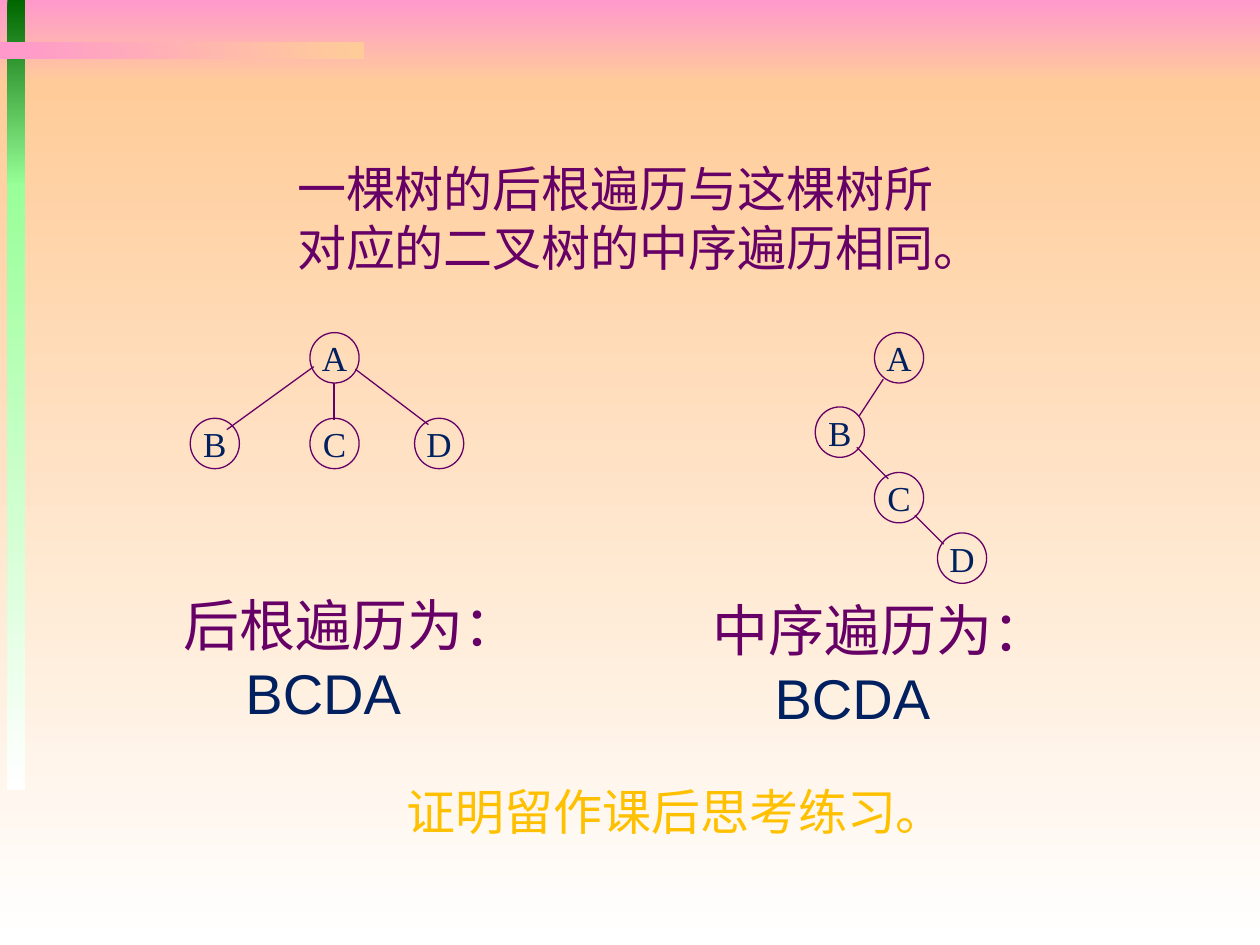
import pptx
import pptx.dml.color
import pptx.enum.shapes
import pptx.enum.text
import pptx.oxml.ns
import pptx.util
from lxml import etree
from pptx.util import Inches

COLORS = {
    "pink": "FF99CC", "peach": "FFCC99", "white": "FFFFFF",
    "dark_green": "006600", "light_green": "99FF99",
    "purple": "660066", "navy": "002060", "gold": "FFC000",
}
NODE_W, NODE_H = 0.39, 0.4


def rgb(name):
    return pptx.dml.color.RGBColor.from_string(COLORS[name])


def style_run(run, size, color, font="Arial"):
    run.font.size = pptx.util.Pt(size)
    run.font.name = font
    run.font.color.rgb = rgb(color)


deck = pptx.Presentation()
deck.slide_width, deck.slide_height = Inches(10), Inches(7.5)
slide = deck.slides.add_slide(deck.slide_layouts[6])

# Background and decorative bars: box, start colour, end colour, angle
bands = [
    ((0, 0, 10, 0.67), "pink", "peach", 270),
    ((0, 0.67, 10, 6.83), "peach", "white", 270),
    ((0.06, 0, 0.14, 1.48), "dark_green", "light_green", 270),
    ((0.06, 1.46, 0.14, 4.81), "light_green", "white", 270),
    ((0, 0.33, 2.89, 0.14), "pink", "peach", 0),
]
for box, start, end, angle in bands:
    band = slide.shapes.add_shape(
        pptx.enum.shapes.MSO_SHAPE.RECTANGLE, *map(Inches, box))
    band.shadow.inherit = False
    band.line.fill.background()
    band.fill.gradient()
    band.fill.gradient_angle = angle
    for stop, position, color in zip(band.fill.gradient_stops, (0, 1), (start, end)):
        stop.position = position
        stop.color.rgb = rgb(color)

# The tree and its binary tree: node positions, then edges
trees = [
    ({"A": (2.46, 2.64), "B": (1.51, 3.32), "C": (2.46, 3.32), "D": (3.29, 3.32)},
     [(2.65, 3.04, 2.65, 3.33), (2.49, 2.91, 1.8, 3.41), (2.82, 2.93, 3.4, 3.37)]),
    ({"A": (6.94, 2.64), "B": (6.47, 3.23), "C": (6.94, 3.75), "D": (7.44, 4.23)},
     [(7.01, 3.01, 6.82, 3.3), (6.8, 3.55, 7.05, 3.8), (7.26, 4.09, 7.49, 4.32)]),
]
for nodes, edges in trees:
    tree = slide.shapes.add_group_shape()
    for label, (left, top) in nodes.items():
        node = tree.shapes.add_shape(
            pptx.enum.shapes.MSO_SHAPE.OVAL,
            *map(Inches, (left, top, NODE_W, NODE_H)))
        node.shadow.inherit = False
        node.fill.background()
        node.line.color.rgb = rgb("purple")
        node.line.width = pptx.util.Pt(0.75)
        frame = node.text_frame
        frame.text = label
        frame.word_wrap = False
        frame.vertical_anchor = pptx.enum.text.MSO_ANCHOR.MIDDLE
        frame.paragraphs[0].alignment = pptx.enum.text.PP_ALIGN.CENTER
        style_run(frame.paragraphs[0].runs[0], 20, "navy", "Times New Roman")
    for ends in edges:
        edge = tree.shapes.add_connector(
            pptx.enum.shapes.MSO_CONNECTOR.STRAIGHT, *map(Inches, ends))
        edge.line.color.rgb = rgb("purple")
        edge.line.width = pptx.util.Pt(0.75)
        etree.SubElement(edge._element.spPr, pptx.oxml.ns.qn("a:effectLst"))

# Captions: box, size, then each paragraph's text, colour and indent
captions = [
    ((1.36, 4.64, 2.97, 1.18), 32,
     [("后根遍历为：", "purple", 0), ("BCDA", "navy", 0.49)]),
    ((5.56, 4.68, 2.97, 1.18), 32,
     [("中序遍历为：", "purple", 0), ("BCDA", "navy", 0.49)]),
    ((2.26, 1.21, 5.57, 1.04), 28,
     [("一棵树的后根遍历与这棵树所对应的二叉树的中序遍历相同。", "purple", 0)]),
    ((3.13, 6.15, 5.57, 0.57), 28, [("证明留作课后思考练习。", "gold", 0)]),
]
for box, size, lines in captions:
    frame = slide.shapes.add_textbox(*map(Inches, box)).text_frame
    frame.word_wrap = True
    frame.auto_size = pptx.enum.text.MSO_AUTO_SIZE.SHAPE_TO_FIT_TEXT
    frame.text = "\n".join(text for text, _, _ in lines)
    for paragraph, (_, color, indent) in zip(frame.paragraphs, lines):
        style_run(paragraph.runs[0], size, color)
        if indent:
            paragraph._p.get_or_add_pPr().set("marL", str(Inches(indent)))

deck.save("out.pptx")
